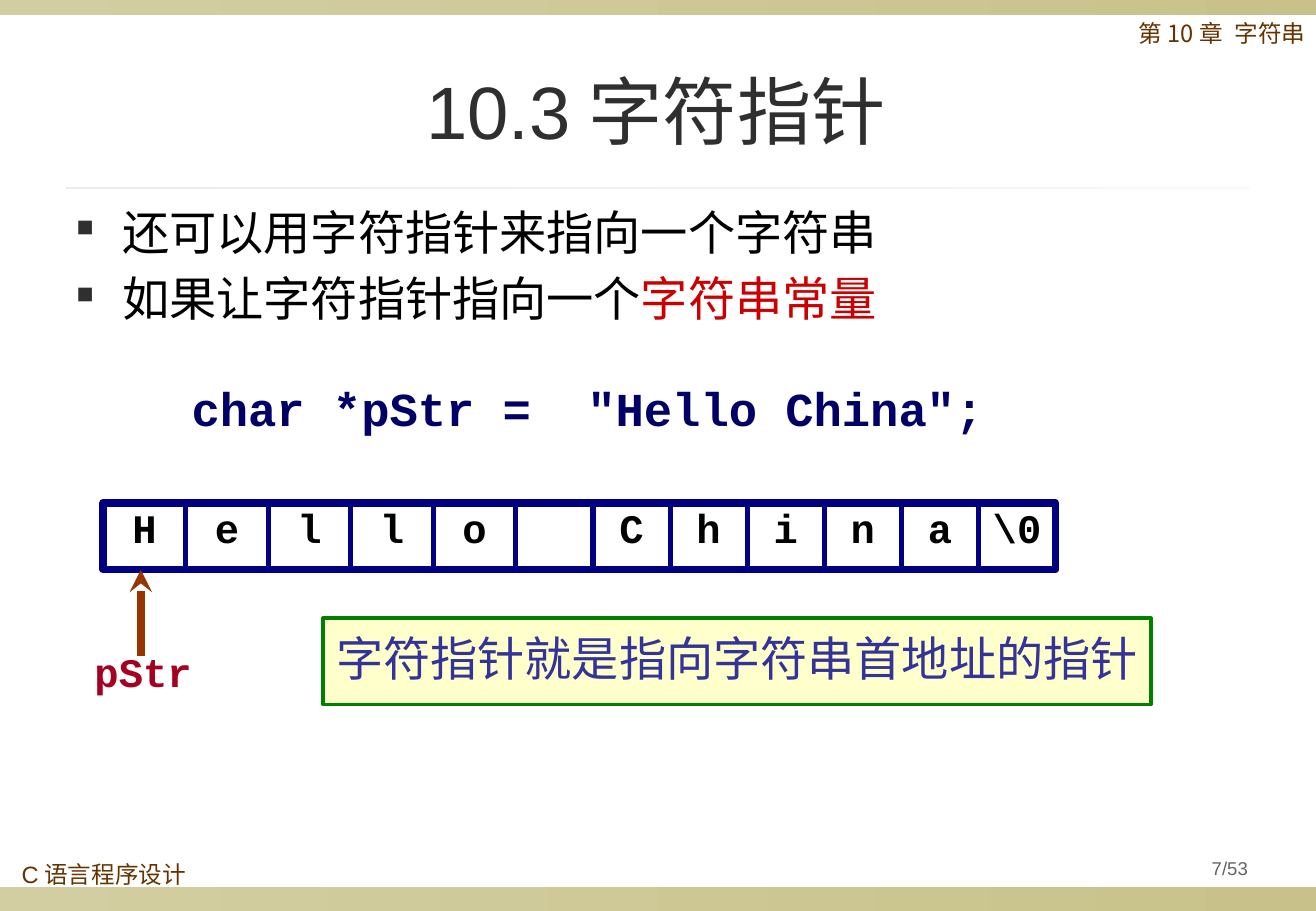
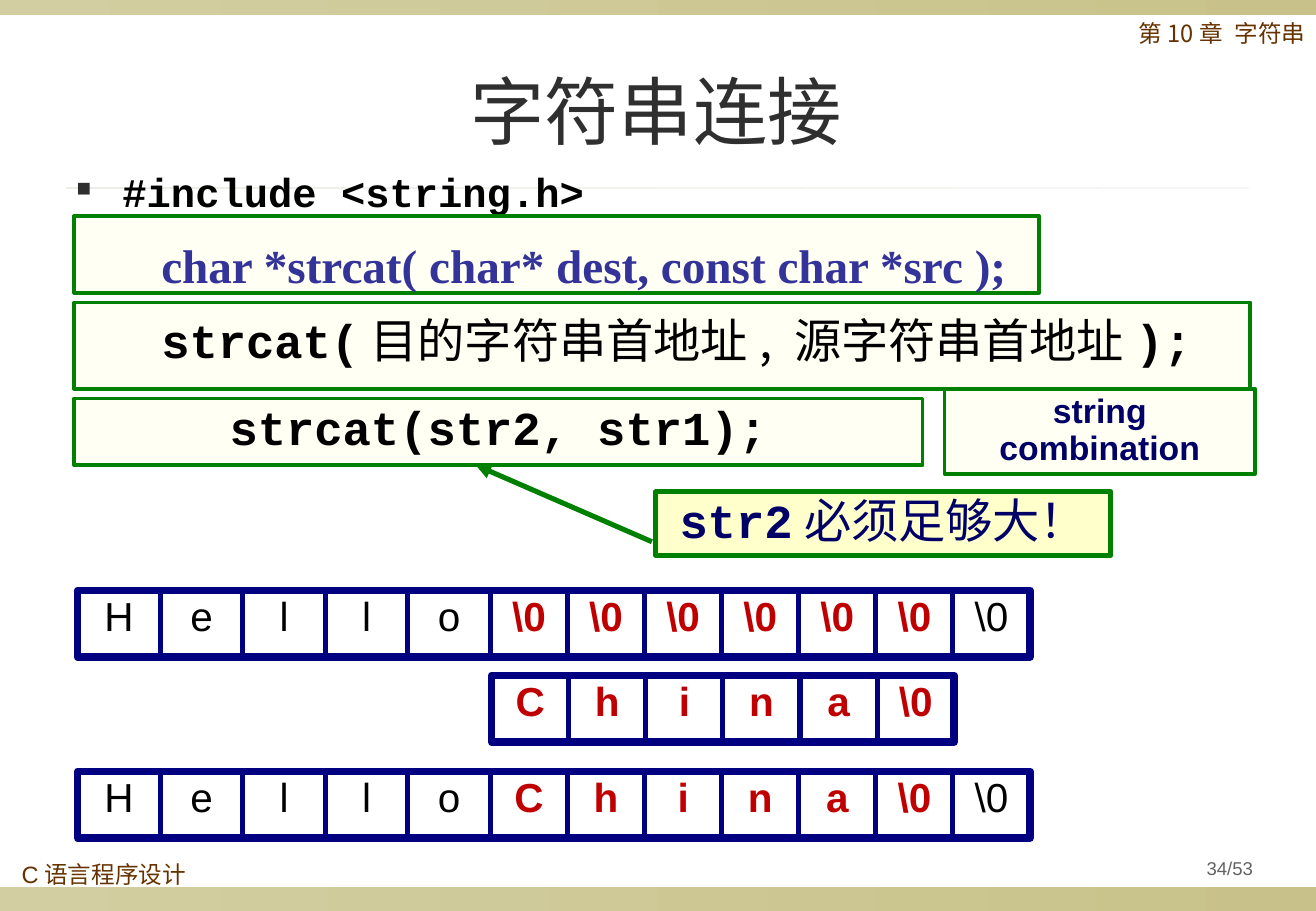
"""Builds two lecture slides on C strings: character pointers and strcat."""
from itertools import accumulate

from lxml import etree
from pptx import Presentation
from pptx.dml.color import RGBColor
from pptx.enum.shapes import MSO_CONNECTOR, MSO_SHAPE
from pptx.enum.text import MSO_ANCHOR, PP_ALIGN
from pptx.oxml.ns import qn
from pptx.util import Inches, Pt

RECTANGLE = MSO_SHAPE.RECTANGLE
STRAIGHT = MSO_CONNECTOR.STRAIGHT
LEFT, CENTER = PP_ALIGN.LEFT, PP_ALIGN.CENTER
TOP, MIDDLE = MSO_ANCHOR.TOP, MSO_ANCHOR.MIDDLE

SANS, MONO, SERIF = "Arial", "Courier New", "Times New Roman"
CJK = "Noto Sans CJK SC"

BLACK = RGBColor(0x00, 0x00, 0x00)
CHARCOAL = RGBColor(0x2F, 0x2F, 0x2F)
GRAY = RGBColor(0x63, 0x63, 0x63)
BROWN = RGBColor(0x66, 0x33, 0x00)
RUST = RGBColor(0x99, 0x33, 0x00)
CRIMSON = RGBColor(0xA5, 0x00, 0x21)
RED = RGBColor(0xCC, 0x00, 0x00)
DARK_RED = RGBColor(0xC0, 0x00, 0x00)
NAVY = RGBColor(0x00, 0x00, 0x80)
DEEP_BLUE = RGBColor(0x00, 0x00, 0x66)
INDIGO = RGBColor(0x33, 0x33, 0x99)
GREEN = RGBColor(0x00, 0x80, 0x00)
CREAM = RGBColor(0xFF, 0xFF, 0xCC)
IVORY = RGBColor(0xFF, 0xFF, 0xF4)
BAND_COLORS = RGBColor(0xD3, 0xCE, 0xA1), RGBColor(0xC8, 0xC2, 0x8A)
RULE_COLORS = RGBColor(0xEE, 0xEC, 0xE6), RGBColor(0xF8, 0xF7, 0xF5)

SLIDE_WIDTH, SLIDE_HEIGHT = 10.84, 7.5
PAGE_COUNT = 53
WIDE_CELL, NARROW_CELL, CELL_HEIGHT = 0.68, 0.635, 0.55
FULL_ROW = [WIDE_CELL] * 5 + [NARROW_CELL] * 7
SHORT_ROW = [NARROW_CELL] * 6
BULLET_HANG = 0.38


def add_element(parent, tag, **attributes):
    """Append an XML child and return it."""
    child = etree.SubElement(parent, qn(tag))
    for key, value in attributes.items():
        child.set(key, str(value))
    return child


def add_bullet(properties):
    """Give a paragraph a small square bullet with a hanging indent."""
    properties.set("marL", str(Inches(BULLET_HANG)))
    properties.set("indent", str(-Inches(BULLET_HANG)))
    color = add_element(properties, "a:buClr")
    add_element(color, "a:srgbClr", val=CHARCOAL)
    add_element(properties, "a:buSzPct", val=50000)
    add_element(properties, "a:buChar", char="■")


def write_text(shape, *paragraphs, size, color, font=SANS, bold=False,
               align=LEFT, anchor=TOP, spacing=0.9, wrap=True, margin=0.1,
               indent=0, bullet=False, tabs=(), tab_align="l"):
    """Fill a shape with paragraphs of strings or (string, overrides) runs."""
    frame = shape.text_frame
    frame.word_wrap = wrap
    frame.vertical_anchor = anchor
    frame.margin_left = frame.margin_right = Inches(margin)
    frame.margin_top = frame.margin_bottom = Inches(0.05)
    for index, runs in enumerate(paragraphs):
        paragraph = frame.add_paragraph() if index else frame.paragraphs[0]
        paragraph.alignment = align
        paragraph.line_spacing = spacing
        paragraph.space_before = Pt(6 if index else 0)
        properties = paragraph._p.get_or_add_pPr()
        if bullet:
            add_bullet(properties)
        elif indent:
            properties.set("marL", str(Inches(indent)))
        if tabs:
            stops = add_element(properties, "a:tabLst")
            for position in tabs:
                add_element(stops, "a:tab", pos=Inches(position), algn=tab_align)
        for part in [runs] if isinstance(runs, str) else runs:
            content, changes = (part, {}) if isinstance(part, str) else part
            run = paragraph.add_run()
            run.text = content
            run.font.size = Pt(size)
            run.font.name = changes.get("font", font)
            run.font.bold = changes.get("bold", bold)
            run.font.color.rgb = changes.get("color", color)
            add_element(run._r.get_or_add_rPr(), "a:ea", typeface=CJK)


def add_text(slide, box, *paragraphs, **text_format):
    """Add a text box at (left, top, width, height)."""
    label = slide.shapes.add_textbox(*map(Inches, box))
    write_text(label, *paragraphs, **text_format)


def add_rectangle(slide, box):
    """Add a rectangle without shadow."""
    rectangle = slide.shapes.add_shape(RECTANGLE, *map(Inches, box))
    rectangle.shadow.inherit = False
    return rectangle


def add_frame(slide, box, *paragraphs, fill=IVORY, weight=2.25, **text_format):
    """Add a green-bordered box with text."""
    frame = add_rectangle(slide, box)
    frame.fill.solid()
    frame.fill.fore_color.rgb = fill
    frame.line.color.rgb = GREEN
    frame.line.width = Pt(weight)
    write_text(frame, *paragraphs, **text_format)


def add_band(slide, box, colors):
    """Add a borderless strip with a left-to-right gradient."""
    band = add_rectangle(slide, box)
    band.line.fill.background()
    band.fill.gradient()
    band.fill.gradient_angle = 0
    for stop, color in zip(band.fill.gradient_stops, colors):
        stop.color.rgb = color


def add_line(slide, start, end, color, weight, arrowhead=None):
    """Add a straight line, with an arrowhead at its end if one is named."""
    line = slide.shapes.add_connector(STRAIGHT, *map(Inches, start + end))
    line.line.color.rgb = color
    line.line.width = Pt(weight)
    if arrowhead:
        add_element(line.line._get_or_add_ln(), "a:tailEnd", type=arrowhead)
    add_element(line._element.spPr, "a:effectLst")


def add_memory_row(slide, left, top, widths, *runs, **text_format):
    """Draw a row of memory cells with one tab-centred character in each."""
    total = sum(widths)
    outline = add_rectangle(slide, (left, top, total, CELL_HEIGHT))
    outline.fill.background()
    outline.line.color.rgb = NAVY
    outline.line.width = Pt(4.5)
    edges = list(accumulate(widths))
    for edge in edges[:-1]:
        x = left + edge
        add_line(slide, (x, top), (x, top + CELL_HEIGHT), NAVY, 3)
    centers = [edge - width / 2 for edge, width in zip(edges, widths)]
    add_text(slide, (left, top, total + 0.2, 0.46), runs, size=24, margin=0,
             tabs=centers, tab_align="ctr", **text_format)


def in_cells(characters):
    """Put a tab before each character so that it falls in its own cell."""
    return "".join("\t" + character for character in characters)


def start_slide(deck, title, page):
    """Add a slide with the shared bands, title, rule and footers."""
    slide = deck.slides.add_slide(deck.slide_layouts[6])
    add_band(slide, (0, 7.3, SLIDE_WIDTH, 0.2), BAND_COLORS)
    add_band(slide, (0, 0, SLIDE_WIDTH, 0.12), BAND_COLORS)
    add_band(slide, (0.54, 1.54, 9.75, 0.02), RULE_COLORS)
    add_text(slide, (9.28, 0.13, 1.73, 0.39), "第10章\t字符串", size=14,
             font=CJK, color=BROWN, tabs=[0.79])
    add_text(slide, (0.08, 7.06, 1.56, 0.32), "C语言程序设计", size=14,
             color=BROWN)
    add_text(slide, (0.53, 0.28, 9.75, 1.25), title, size=44, color=CHARCOAL,
             align=CENTER, anchor=MIDDLE, spacing=1.0)
    add_text(slide, (9.59, 7, 1.08, 0.31), f"{page}/{PAGE_COUNT}", size=11,
             color=GRAY, align=CENTER, anchor=MIDDLE, margin=0.05)
    return slide


def build_pointer_slide(deck):
    """Show a character pointer and the string it points to."""
    slide = start_slide(deck, "10.3字符指针", 7)
    add_text(slide, (0.53, 1.62, 8.59, 1.18),
             "还可以用字符指针来指向一个字符串",
             ["如果让字符指针指向一个", ("字符串常量", {"color": RED})],
             size=28, font=SERIF, color=BLACK, spacing=1.0, bullet=True)
    code = {"size": 28, "font": MONO, "color": DEEP_BLUE, "bold": True}
    add_text(slide, (1.48, 3.13, 3.35, 0.52), "char *pStr =", **code)
    add_text(slide, (4.74, 3.13, 3.98, 0.52), '"Hello China";', **code)
    add_memory_row(slide, 0.85, 4.14, FULL_ROW,
                   in_cells([*"Hello", "", *"China", "\\0"]),
                   font=MONO, color=BLACK, bold=True)
    add_line(slide, (1.16, 5.4), (1.16, 4.69), RUST, 4.5, "stealth")
    add_text(slide, (0.68, 5.32, 1.11, 0.46), "pStr", size=24, font=MONO,
             color=CRIMSON, bold=True)
    add_frame(slide, (2.66, 5.09, 6.82, 0.71),
              "字符指针就是指向字符串首地址的指针", fill=CREAM, size=28,
              font=CJK, color=INDIGO, align=CENTER, anchor=MIDDLE, wrap=False)


def build_concatenation_slide(deck):
    """Show the strcat prototype, a call and memory before and after."""
    slide = start_slide(deck, "字符串连接", 34)
    chinese = {"font": CJK, "bold": False}
    code = {"size": 28, "font": MONO, "color": BLACK, "bold": True}
    add_text(slide, (0.53, 1.31, 10.02, 0.63), "#include <string.h>",
             **{**code, "size": 24}, spacing=1.05, bullet=True)
    add_frame(slide, (0.61, 2.49, 9.69, 0.71),
              ["strcat(", ("目的字符串首地址, 源字符串首地址", chinese), ");"],
              **code, spacing=1.05, indent=0.62)
    add_frame(slide, (7.78, 3.2, 2.56, 0.7), "string combination", size=20,
              color=DEEP_BLUE, bold=True, align=CENTER)
    add_frame(slide, (0.61, 3.28, 6.99, 0.55), "strcat(str2, str1);", **code,
              align=CENTER)
    add_line(slide, (5.37, 4.46), (3.92, 3.83), GREEN, 3, "triangle")
    add_frame(slide, (5.4, 4.05, 3.75, 0.52),
              ["str2", ("必须足够大！", chinese)], fill=CREAM, weight=3,
              **{**code, "color": DEEP_BLUE}, align=CENTER)

    added = {"color": DARK_RED, "bold": True}
    hello, end = in_cells("Hello"), in_cells(["\\0"])
    china = (in_cells("China") + end, added)
    add_memory_row(slide, 0.64, 4.86, FULL_ROW, hello, (end * 6, added), end,
                   color=BLACK)
    add_memory_row(slide, 4.05, 5.56, SHORT_ROW, china, color=BLACK)
    add_memory_row(slide, 0.64, 6.35, FULL_ROW, hello, china, end, color=BLACK)
    add_frame(slide, (0.61, 1.78, 7.95, 0.63),
              "char *strcat( char* dest, const char *src );", size=28,
              font=SERIF, color=INDIGO, bold=True, spacing=1.25, indent=0.62)


def main():
    """Build and save the presentation."""
    deck = Presentation()
    deck.slide_width = Inches(SLIDE_WIDTH)
    deck.slide_height = Inches(SLIDE_HEIGHT)
    build_pointer_slide(deck)
    build_concatenation_slide(deck)
    deck.save("out.pptx")


if __name__ == "__main__":
    main()
